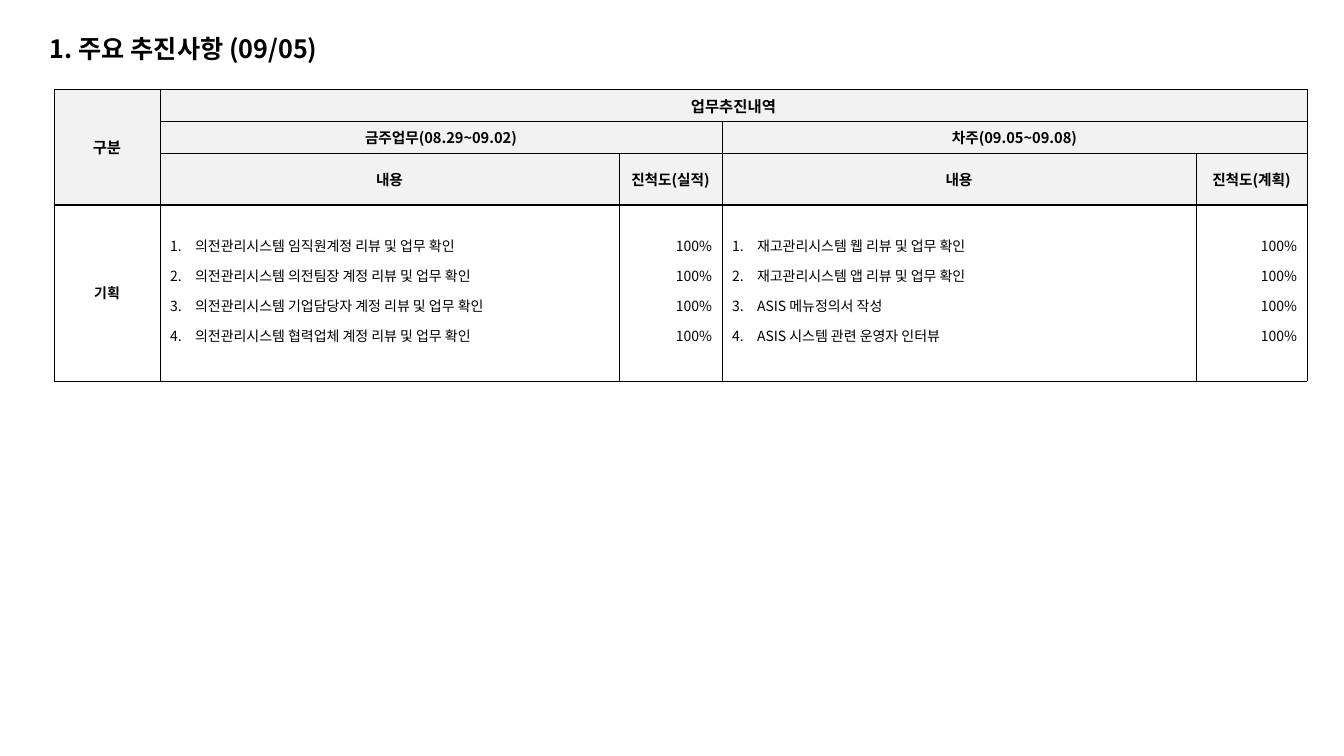
from pptx import Presentation
from pptx import util as u
from pptx.dml.color import RGBColor
from pptx.enum import text
from pptx.oxml.ns import qn
from lxml import etree

PX = 914400 / 100.8
FONT = "Noto Sans CJK KR"
BLACK = RGBColor(0x00, 0x00, 0x00)
WHITE = RGBColor(0xFF, 0xFF, 0xFF)
HEADER_GRAY = RGBColor(0xF2, 0xF2, 0xF2)
LEFT, CENTER, RIGHT = text.PP_ALIGN.LEFT, text.PP_ALIGN.CENTER, text.PP_ALIGN.RIGHT
MIDDLE, TOP = text.MSO_ANCHOR.MIDDLE, text.MSO_ANCHOR.TOP

COLUMNS = [106, 459, 103, 474, 111]
ROWS = [32, 32, 52, 176]
# row, column, rows spanned, columns spanned, wording, size
HEADINGS = [
    (0, 0, 3, 1, "구분", 11),
    (0, 1, 1, 4, "업무추진내역", 11),
    (1, 1, 1, 2, "금주업무(08.29~09.02)", 10.5),
    (1, 3, 1, 2, "차주(09.05~09.08)", 10.5),
    (2, 1, 1, 1, "내용", 10.5),
    (2, 2, 1, 1, "진척도(실적)", 10.5),
    (2, 3, 1, 1, "내용", 10.5),
    (2, 4, 1, 1, "진척도(계획)", 10.5),
]
THIS_WEEK = [
    "의전관리시스템 임직원계정 리뷰 및 업무 확인",
    "의전관리시스템 의전팀장 계정 리뷰 및 업무 확인",
    "의전관리시스템 기업담당자 계정 리뷰 및 업무 확인",
    "의전관리시스템 협력업체 계정 리뷰 및 업무 확인",
]
NEXT_WEEK = [
    "재고관리시스템 웹 리뷰 및 업무 확인",
    "재고관리시스템 앱 리뷰 및 업무 확인",
    "ASIS 메뉴정의서 작성",
    "ASIS 시스템 관련 운영자 인터뷰",
]


def px(length):
    return u.Emu(round(length * PX))


def write(frame, lines, size, bold, align):
    frame.text = "\n".join(lines)
    for paragraph in frame.paragraphs:
        paragraph.alignment = align
        for run in paragraph.runs:
            run.font.size = u.Pt(size)
            run.font.bold = bold
            run.font.color.rgb = BLACK
            run.font.name = FONT
            etree.SubElement(run.font._element, qn("a:ea"), typeface=FONT)


def number(paragraph):
    properties = paragraph._p.get_or_add_pPr()
    properties.set("marL", str(px(25)))
    properties.set("indent", str(-px(25)))
    etree.SubElement(properties, qn("a:buFont"), typeface="+mj-lt")
    etree.SubElement(properties, qn("a:buAutoNum"), type="arabicPeriod")


def border(cell, widths):
    properties = cell._tc.get_or_add_tcPr()
    for side, width in zip("LRTB", widths):
        line = etree.SubElement(properties, qn(f"a:ln{side}"), w=str(u.Pt(width)))
        fill = etree.SubElement(line, qn("a:solidFill"))
        etree.SubElement(fill, qn("a:srgbClr"), val=str(BLACK))


def fill_work(cell, lines, align, numbered):
    cell.vertical_anchor = TOP
    cell.margin_top = px(20)
    write(cell.text_frame, lines, 10, False, align)
    for paragraph in cell.text_frame.paragraphs:
        paragraph.line_spacing = 1.5
        if numbered:
            number(paragraph)


def add_title(slide, left, top, width, height):
    title = slide.shapes.add_textbox(px(left), px(top), px(width), px(height))
    title.text_frame.word_wrap = True
    title.text_frame.vertical_anchor = MIDDLE
    write(title.text_frame, ["1. 주요 추진사항 (09/05)"], 18, True, LEFT)


def add_report(slide, left, top):
    report = slide.shapes.add_table(
        len(ROWS), len(COLUMNS), px(left), px(top), px(sum(COLUMNS)), px(sum(ROWS))
    ).table
    for column, width in zip(report.columns, COLUMNS):
        column.width = px(width)
    for row, height in zip(report.rows, ROWS):
        row.height = px(height)

    # Borders and fills, with a heavier rule between headings and work
    work_row = len(ROWS) - 1
    for r in range(len(ROWS)):
        for c in range(len(COLUMNS)):
            cell = report.cell(r, c)
            above = 1 if r == work_row else 0.5
            below = 1 if r == work_row - 1 else 0.5
            border(cell, (0.5, 0.5, above, below))
            cell.fill.solid()
            cell.fill.fore_color.rgb = WHITE if r == work_row else HEADER_GRAY
            cell.vertical_anchor = MIDDLE

    # Headings
    for r, c, rows, columns, wording, size in HEADINGS:
        heading = report.cell(r, c)
        if rows * columns > 1:
            heading.merge(report.cell(r + rows - 1, c + columns - 1))
        write(heading.text_frame, [wording], size, True, CENTER)

    # Work of each week and its progress
    write(report.cell(work_row, 0).text_frame, ["기획"], 10, True, CENTER)
    for c, tasks in ((1, THIS_WEEK), (3, NEXT_WEEK)):
        fill_work(report.cell(work_row, c), tasks, LEFT, True)
        fill_work(report.cell(work_row, c + 1), ["100%"] * len(tasks), RIGHT, False)


deck = Presentation()
deck.slide_width, deck.slide_height = px(1344), px(756)
weekly = deck.slides.add_slide(deck.slide_layouts[6])
add_title(weekly, 40, 25, 1033, 46)
add_report(weekly, 54, 89)
deck.save("out.pptx")
